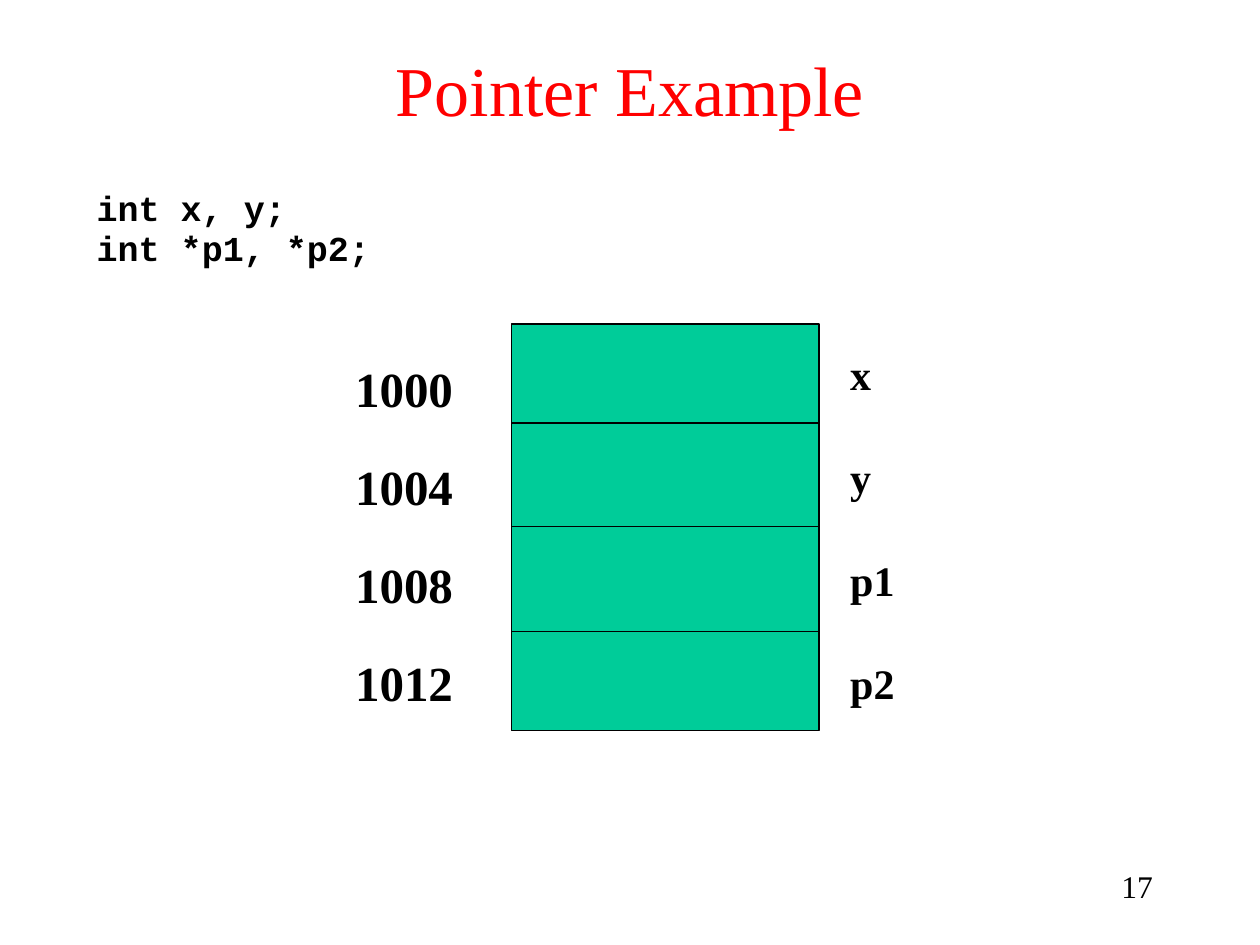
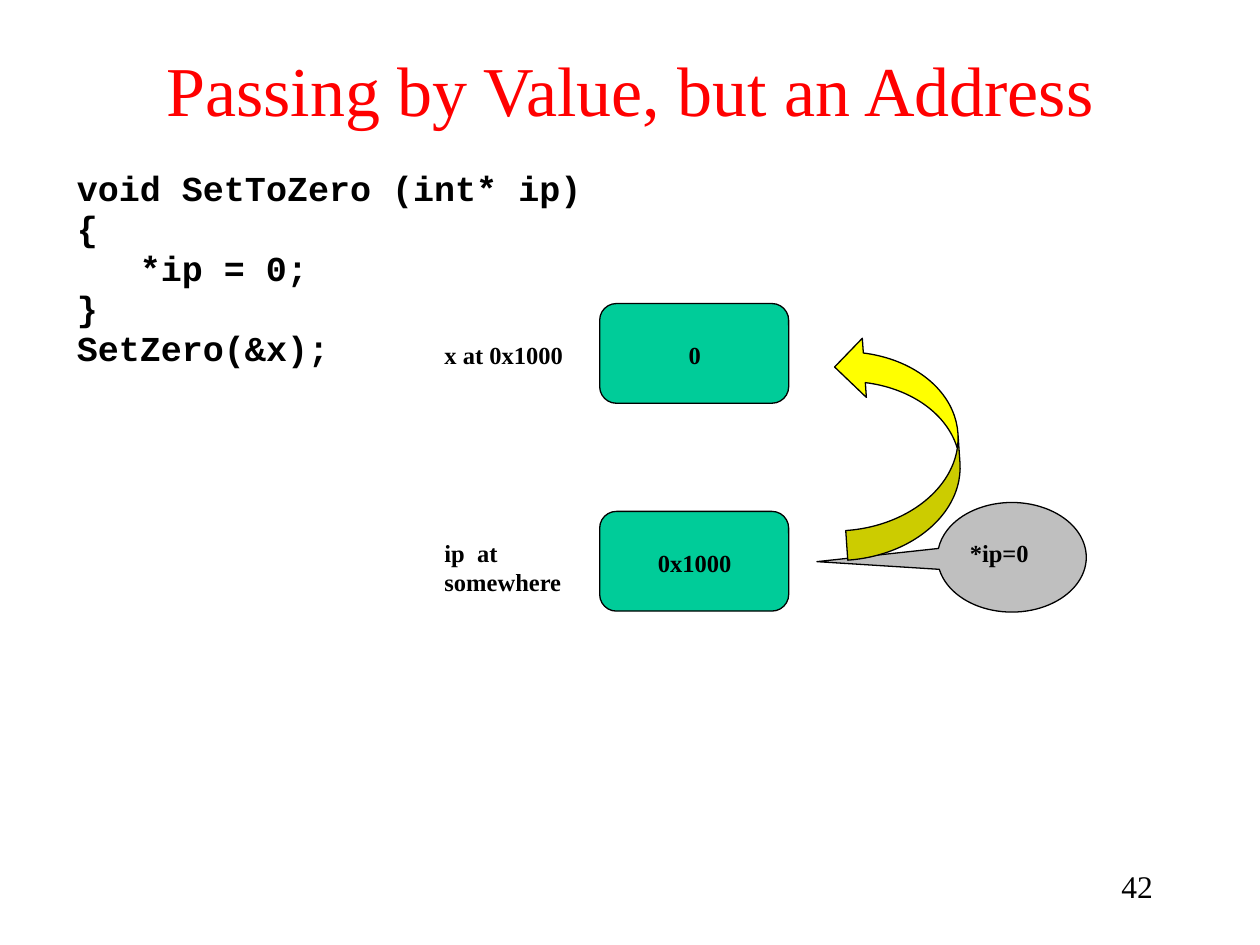
from lxml import etree
from pptx import Presentation
from pptx.dml.color import RGBColor
from pptx.enum.shapes import MSO_CONNECTOR, MSO_SHAPE
from pptx.enum.text import MSO_ANCHOR, PP_ALIGN
from pptx.oxml.ns import qn
from pptx.util import Cm, Pt

LEFT, CENTER, RIGHT = PP_ALIGN.LEFT, PP_ALIGN.CENTER, PP_ALIGN.RIGHT
TOP, MIDDLE = MSO_ANCHOR.TOP, MSO_ANCHOR.MIDDLE
RECT, ROUND_RECT = MSO_SHAPE.RECTANGLE, MSO_SHAPE.ROUNDED_RECTANGLE
CALLOUT, CURVED_ARROW = MSO_SHAPE.OVAL_CALLOUT, MSO_SHAPE.CURVED_UP_ARROW
STRAIGHT = MSO_CONNECTOR.STRAIGHT

RED, BLACK, GREEN = "FF0000", "000000", "00CC99"
GRAY, YELLOW = "BFBFBF", "FFFF00"
SERIF, MONO = "Times New Roman", "Courier New"
PAGE_W, PAGE_H = 25.4, 19.05


def rgb(color):
    return RGBColor.from_string(color)


class Deck:
    """Holds the presentation, its style and the current slide; lengths are in cm."""

    def __init__(self):
        self.prs = Presentation()
        self.prs.slide_width, self.prs.slide_height = Cm(PAGE_W), Cm(PAGE_H)
        self.s = None

    def slide(self, title, number):
        self.s = self.prs.slides.add_slide(self.prs.slide_layouts[6])
        self.text([title], 0, 0.2, PAGE_W, 3.18, 40, RED, bold=False,
                  align=CENTER, anchor=MIDDLE)
        self.text([str(number)], 18.21, 17.35, 5.28, 1.27, 18, bold=False,
                  align=RIGHT)

    def text(self, lines, x, y, w, h, size, color=BLACK, font=SERIF, bold=True,
             align=LEFT, anchor=TOP, spacing=None, gap=0):
        """Add a text box with one paragraph a line and gap points between them."""
        tf = self.s.shapes.add_textbox(Cm(x), Cm(y), Cm(w), Cm(h)).text_frame
        tf.word_wrap = True
        tf.vertical_anchor = anchor
        for i, line in enumerate(lines):
            p = tf.add_paragraph() if i else tf.paragraphs[0]
            p.add_run().text = line
            p.alignment = align
            if spacing:
                p.line_spacing = spacing
            if i and gap:
                p.space_before = Pt(gap)
            p.font.name, p.font.size, p.font.bold = font, Pt(size), bold
            p.font.color.rgb = rgb(color)

    def code(self, source, x, y, w, h):
        self.text(source.split("\n"), x, y, w, h, 20, font=MONO,
                  spacing=0.9, gap=1.2)

    def label(self, words, x, y, w, h=0.86, align=LEFT):
        self.text([words], x, y, w, h, 14, align=align)

    def shape(self, kind, x, y, w, h, fill):
        sp = self.s.shapes.add_shape(kind, Cm(x), Cm(y), Cm(w), Cm(h))
        sp.shadow.inherit = False
        sp.fill.solid()
        sp.fill.fore_color.rgb = rgb(fill)
        self.outline(sp)
        return sp

    def rule(self, x, y, w):
        """Add a horizontal line."""
        line = self.s.shapes.add_connector(STRAIGHT, Cm(x), Cm(y), Cm(x + w), Cm(y))
        self.outline(line)
        etree.SubElement(line._element.spPr, qn("a:effectLst"))

    def outline(self, sp):
        sp.line.color.rgb = rgb(BLACK)
        sp.line.width = Pt(0.75)


def pointer_example(deck):
    deck.slide("Pointer Example", 17)
    deck.code("int x, y;\nint *p1, *p2;", 1.7, 3.73, 22, 1.8)
    memory_x, memory_w = 10.31, 6.2
    deck.shape(RECT, memory_x, 6.53, memory_w, 8.2, GREEN)
    for y in (8.53, 10.62, 12.73):
        deck.rule(memory_x, y, memory_w)
    addresses = [str(a) for a in range(1000, 1016, 4)]
    deck.text(addresses, 6.91, 6.32, 3.2, 8.1, 28, spacing=Pt(56))
    deck.text(["x", "y", "p1", "p2"], 16.89, 6.91, 2, 7.44, 24, gap=30)


def passing_address(deck):
    deck.slide("Passing by Value, but an Address", 42)
    deck.code("void SetToZero (int* ip)\n{\n\t*ip = 0;\n}\nSetZero(&x);",
              1.3, 3.33, 21.2, 4.11)
    cells = [(6.12, "0", "x at 0x1000", 6.73, 0.86),
             (10.31, "0x1000", "ip  at somewhere", 10.72, 1.45)]
    for y, value, name, name_y, name_h in cells:
        deck.shape(ROUND_RECT, 12.09, y, 3.81, 2.01, GREEN)
        deck.label(value, 12.9, y + 0.61, 2.21, align=CENTER)
        deck.label(name, 8.71, name_y, 3, name_h)

    callout = deck.shape(CALLOUT, 18.9, 10.13, 3, 2.21, GRAY)
    callout.adjustments[0], callout.adjustments[1] = -1.31, 0.04
    deck.label("*ip=0", 19.3, 10.72, 2.39)
    arrow = deck.shape(CURVED_ARROW, 15.88, 7.77, 4.5, 2.39, YELLOW)
    arrow.rotation = 266.1


def main():
    deck = Deck()
    pointer_example(deck)
    passing_address(deck)
    deck.prs.save("out.pptx")


if __name__ == "__main__":
    main()
